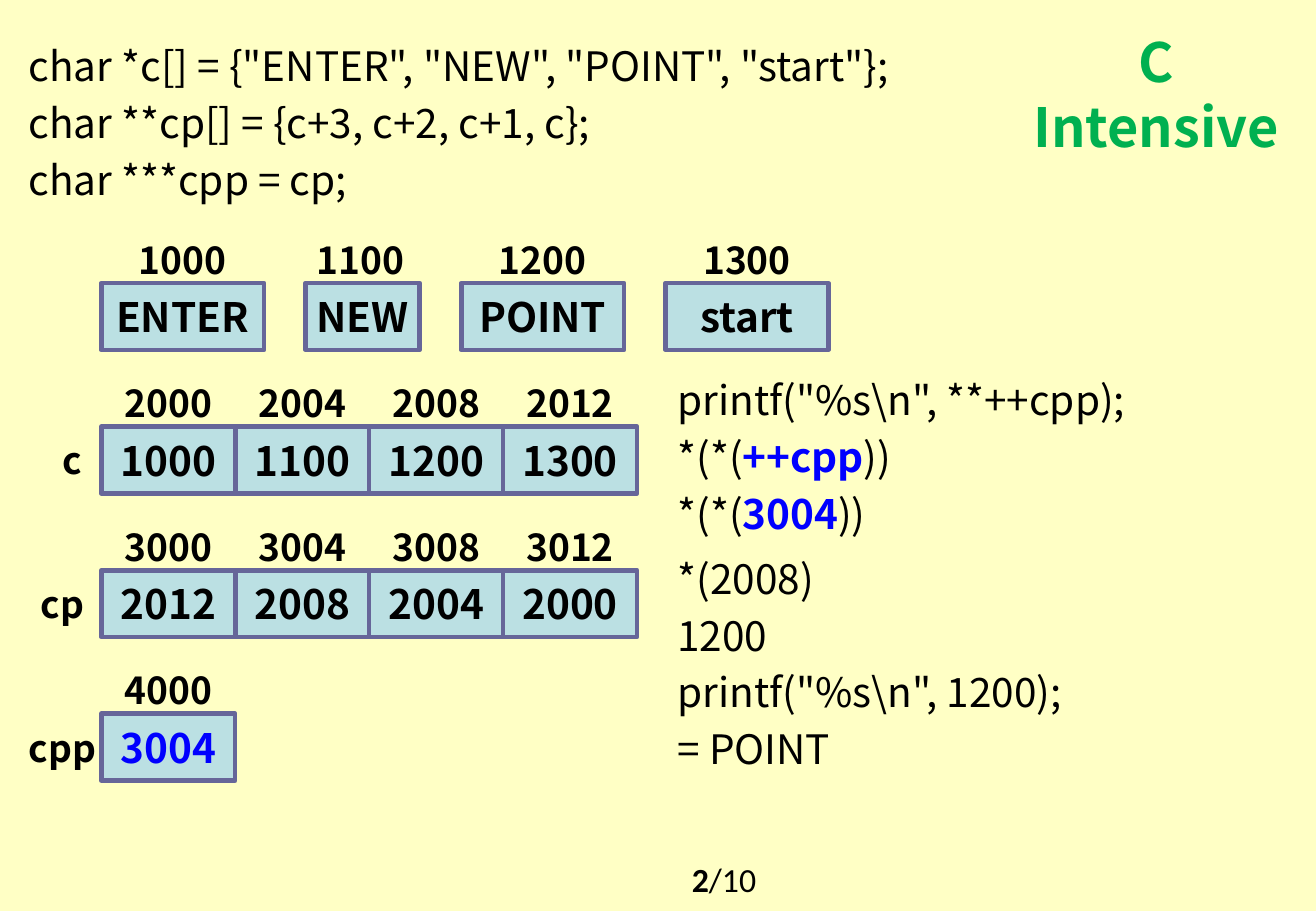
from dataclasses import dataclass

import pptx
import pptx.dml.color
import pptx.enum.shapes
import pptx.enum.text
import pptx.slide
import pptx.text.text
import pptx.util

Pt = pptx.util.Pt
RGB = pptx.dml.color.RGBColor.from_string
ALIGN = pptx.enum.text.PP_ALIGN
ANCHOR = pptx.enum.text.MSO_ANCHOR

COLORS = {
    "background": "FFFFC5",
    "title": "00B050",
    "text": "000000",
    "highlight": "0000FF",
    "cell": "BBE0E3",
    "border": "666699",
}
CODE_FONT = "Noto Sans CJK KR"
MEMORY_LEFT, MEMORY_TOP = 60, 167.8
ROW_PITCH = 85.1
CELL_WIDTH, CELL_HEIGHT = 79.4, 39.6
LABEL_HEIGHT = 28
NAME_WIDTH = 44
INSET = 7.2


@dataclass(frozen=True)
class Run:
    text: str
    size: float = 24
    bold: bool = False
    color: str = "text"
    font: str = CODE_FONT


@dataclass(frozen=True)
class Box:
    left: float
    top: float
    width: float
    height: float


@dataclass(frozen=True)
class Cell:
    address: str
    value: str
    width: float = CELL_WIDTH
    color: str = "text"
    label_shift: float = 0


@dataclass(frozen=True)
class MemoryRow:
    cells: list[Cell]
    name: str = ""
    name_left: float = 15
    gap: float = 0


@dataclass(frozen=True)
class CodeBlock:
    box: Box
    lines: list[list[Run]]


ROWS = [
    MemoryRow([Cell("1000", "ENTER", 96.5), Cell("1100", "NEW", 67.7, label_shift=-1.4),
               Cell("1200", "POINT", 96.5), Cell("1300", "start", 96.5)], gap=24.6),
    MemoryRow([Cell("2000", "1000"), Cell("2004", "1100"),
               Cell("2008", "1200"), Cell("2012", "1300")], "c", 21),
    MemoryRow([Cell("3000", "2012"), Cell("3004", "2008"),
               Cell("3008", "2004"), Cell("3012", "2000")], "cp"),
    MemoryRow([Cell("4000", "3004", color="highlight")], "cpp"),
]

CODE_BLOCKS = [
    CodeBlock(Box(10, 21, 562, 106), [
        [Run('char *c[] = {"ENTER", "NEW", "POINT", "start"};')],
        [Run("char **cp[] = {c+3, c+2, c+1, c};")],
        [Run("char ***cpp = cp;")],
    ]),
    CodeBlock(Box(394.5, 219, 313, 106), [
        [Run(r'printf("%s\n", **++cpp);')],
        [Run("*(*("), Run("++cpp", bold=True, color="highlight"), Run("))")],
        [Run("*(*("), Run("3004", bold=True, color="highlight"), Run("))")],
    ]),
    CodeBlock(Box(394.5, 324.8, 294.5, 141), [
        [Run("*(2008)")],
        [Run("1200")],
        [Run(r'printf("%s\n", 1200);')],
        [Run("= POINT")],
    ]),
]


def fill_text(tf: pptx.text.text.TextFrame, lines: list[list[Run]], align: ALIGN,
              anchor: ANCHOR, wrap: bool, inset: float) -> None:
    frame = {"word_wrap": wrap, "vertical_anchor": anchor,
             "margin_left": Pt(inset), "margin_right": Pt(inset)}
    for key, value in frame.items():
        setattr(tf, key, value)
    for i, runs in enumerate(lines):
        p = tf.paragraphs[0] if i == 0 else tf.add_paragraph()
        p.alignment = align
        if i:
            p.space_before = Pt(4.8)
        for run in runs:
            r = p.add_run()
            r.text = run.text
            font = {"name": run.font, "size": Pt(run.size), "bold": run.bold}
            for key, value in font.items():
                setattr(r.font, key, value)
            r.font.color.rgb = RGB(COLORS[run.color])


def add_text(s: pptx.slide.Slide, box: Box, lines: list[list[Run]],
             align: ALIGN = ALIGN.CENTER, anchor: ANCHOR = ANCHOR.MIDDLE,
             wrap: bool = False, inset: float = INSET) -> None:
    sp = s.shapes.add_textbox(Pt(box.left), Pt(box.top), Pt(box.width), Pt(box.height))
    fill_text(sp.text_frame, lines, align, anchor, wrap, inset)


def add_cell(s: pptx.slide.Slide, cell: Cell, left: float, top: float) -> None:
    """Draw a memory cell with its address above it."""
    label = Box(left + cell.label_shift, top - LABEL_HEIGHT, cell.width, LABEL_HEIGHT)
    add_text(s, label, [[Run(cell.address, 22, True)]])
    sp = s.shapes.add_shape(pptx.enum.shapes.MSO_SHAPE.RECTANGLE,
                            Pt(left), Pt(top), Pt(cell.width), Pt(CELL_HEIGHT))
    sp.shadow.inherit = False
    sp.fill.solid()
    sp.fill.fore_color.rgb = RGB(COLORS["cell"])
    sp.line.color.rgb = RGB(COLORS["border"])
    sp.line.width = Pt(2.75)
    fill_text(sp.text_frame, [[Run(cell.value, 24, True, cell.color)]],
              ALIGN.CENTER, ANCHOR.MIDDLE, False, 0)


def add_memory_row(s: pptx.slide.Slide, row: MemoryRow, top: float) -> None:
    left = MEMORY_LEFT
    for cell in row.cells:
        add_cell(s, cell, left, top)
        left += cell.width + row.gap
    if row.name:
        name_top = top + (CELL_HEIGHT - LABEL_HEIGHT) / 2
        add_text(s, Box(row.name_left, name_top, NAME_WIDTH, LABEL_HEIGHT),
                 [[Run(row.name, 22, True)]], inset=0)


def main() -> None:
    prs = pptx.Presentation()
    prs.slide_width, prs.slide_height = Pt(780), Pt(540)
    s = prs.slides.add_slide(prs.slide_layouts[6])
    s.background.fill.solid()
    s.background.fill.fore_color.rgb = RGB(COLORS["background"])

    add_text(s, Box(601, 13.5, 168.5, 85), [[Run("C Intensive", 32, True, "title")]],
             anchor=ANCHOR.TOP, wrap=True)
    add_text(s, Box(333.4, 499, 191.5, 37.4),
             [[Run("2", 20, True, font="Calibri"), Run("/10", 20, font="Calibri")]],
             anchor=ANCHOR.BOTTOM, wrap=True)
    for block in CODE_BLOCKS:
        add_text(s, block.box, block.lines, ALIGN.LEFT, ANCHOR.TOP, True)
    for i, row in enumerate(ROWS):
        add_memory_row(s, row, MEMORY_TOP + i * ROW_PITCH)

    prs.save("out.pptx")


if __name__ == "__main__":
    main()
